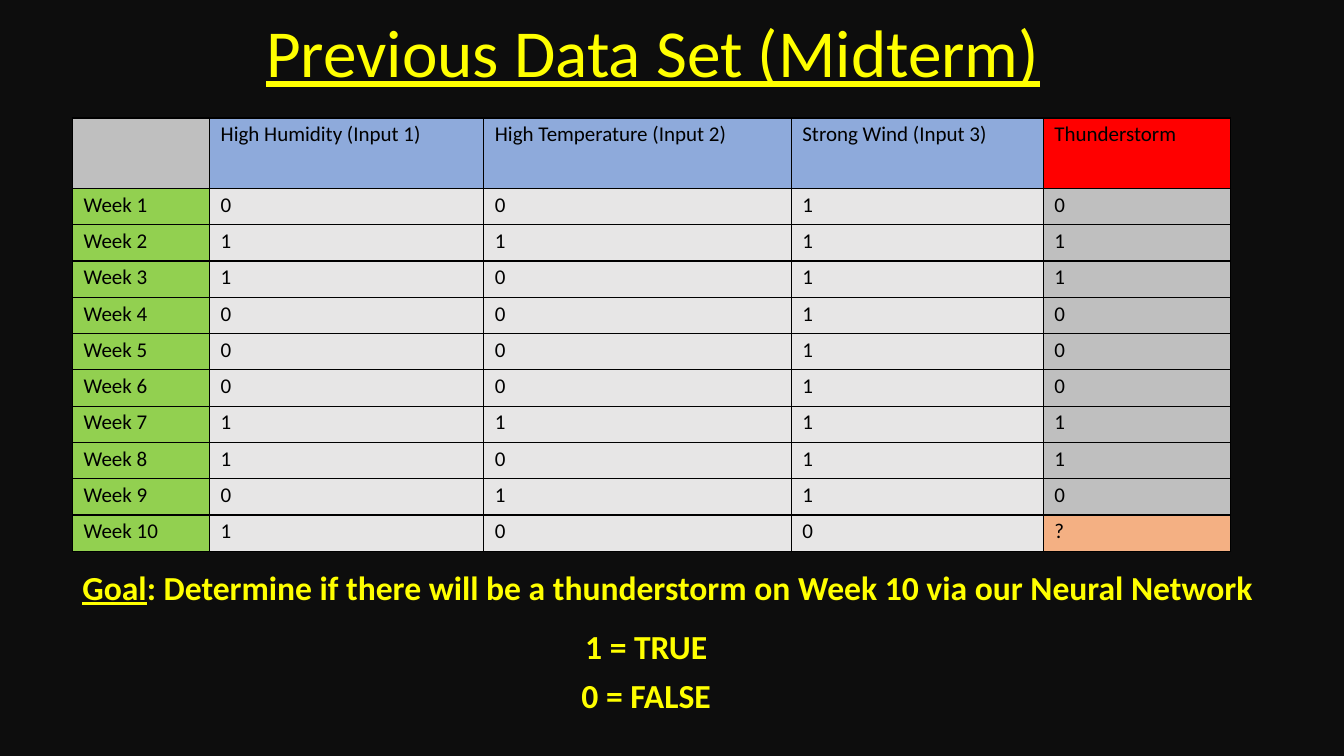
import dataclasses

import lxml.etree
import pptx
import pptx.dml.color
import pptx.enum.text
import pptx.oxml.ns
import pptx.util

SLIDE_WIDTH = pptx.util.Inches(13.33)
SLIDE_HEIGHT = pptx.util.Inches(7.5)
FONT = "Calibri"
BACKGROUND, YELLOW, BLACK = "0D0D0D", "FFFF00", "000000"
BLUE, RED, GREEN = "8EAADB", "FF0000", "92D050"
LIGHT_GRAY, GRAY, ORANGE = "E7E6E6", "BFBFBF", "F4B083"


@dataclasses.dataclass(frozen=True)
class Area:
    """A rectangle in percent of the slide's width and height."""
    left: float
    top: float
    width: float
    height: float


@dataclasses.dataclass(frozen=True)
class Week:
    humidity: str
    temperature: str
    wind: str
    thunderstorm: str


TITLE_AREA = Area(3.98, 1.87, 89.2, 15.07)
TABLE_AREA = Area(5.4, 15.6, 86.25, 57.33)
GOAL_AREA = Area(5.4, 74.27, 89.2, 6.67)
KEY_AREA = Area(40.88, 82.13, 14.4, 13.2)

COLUMN_WIDTHS = [10.2, 20.4, 22.88, 18.75, 13.95]
HEADER_HEIGHT, WEEK_HEIGHT = 9.33, 4.8
HEADERS = ["", "High Humidity (Input 1)", "High Temperature (Input 2)",
           "Strong Wind (Input 3)", "Thunderstorm"]
HEADER_FILLS = [GRAY, BLUE, BLUE, BLUE, RED]
WEEKS = [Week(*digits) for digits in (
    "0010", "1111", "1011", "0010", "0010",
    "0010", "1111", "1011", "0110", "100?")]


def across(percent: float) -> int:
    return round(SLIDE_WIDTH * percent / 100)


def down(percent: float) -> int:
    return round(SLIDE_HEIGHT * percent / 100)


def bounds(area: Area) -> tuple[int, int, int, int]:
    return across(area.left), down(area.top), across(area.width), down(area.height)


def color(hex_code: str) -> pptx.dml.color.RGBColor:
    return pptx.dml.color.RGBColor.from_string(hex_code)


def format_span(span, size: float, hex_code: str, bold: bool = False,
                underline: bool = False) -> None:
    span.font.name = FONT
    span.font.size = pptx.util.Pt(size)
    span.font.bold = bold
    span.font.underline = underline
    span.font.color.rgb = color(hex_code)


def add_title(slide, text: str) -> None:
    title = slide.shapes.title
    title.left, title.top, title.width, title.height = bounds(TITLE_AREA)
    frame = title.text_frame
    frame.text = text
    frame.vertical_anchor = pptx.enum.text.MSO_ANCHOR.TOP
    para = frame.paragraphs[0]
    para.alignment = pptx.enum.text.PP_ALIGN.CENTER
    para.line_spacing = 0.9
    para.space_before = pptx.util.Pt(10)
    format_span(para.runs[0], 48, YELLOW, underline=True)


def add_text_frame(slide, area: Area):
    frame = slide.shapes.add_textbox(*bounds(area)).text_frame
    frame.word_wrap = True
    frame.auto_size = pptx.enum.text.MSO_AUTO_SIZE.SHAPE_TO_FIT_TEXT
    return frame


def add_goal(slide, label: str, sentence: str) -> None:
    para = add_text_frame(slide, GOAL_AREA).paragraphs[0]
    for text, underline in ((label, True), (sentence, False)):
        span = para.add_run()
        span.text = text
        format_span(span, 24, YELLOW, bold=True, underline=underline)


def add_key(slide, meanings: list[str]) -> None:
    frame = add_text_frame(slide, KEY_AREA)
    frame.vertical_anchor = pptx.enum.text.MSO_ANCHOR.MIDDLE
    frame.text = "\n".join(meanings)
    for para in frame.paragraphs:
        para.alignment = pptx.enum.text.PP_ALIGN.CENTER
        para.space_after = pptx.util.Pt(6)
        format_span(para.runs[0], 24, YELLOW, bold=True)


def add_borders(cell) -> None:
    properties = cell._tc.get_or_add_tcPr()
    name = pptx.oxml.ns.qn
    for side in ("a:lnL", "a:lnR", "a:lnT", "a:lnB"):
        line = lxml.etree.SubElement(properties, name(side), w=str(pptx.util.Pt(1)))
        fill = lxml.etree.SubElement(line, name("a:solidFill"))
        lxml.etree.SubElement(fill, name("a:srgbClr"), val=BLACK)


def fill_cell(cell, text: str, fill: str) -> None:
    add_borders(cell)
    cell.fill.solid()
    cell.fill.fore_color.rgb = color(fill)
    cell.margin_left = cell.margin_right = pptx.util.Inches(0.11)
    cell.margin_top, cell.margin_bottom = pptx.util.Inches(0.02), 0
    if text:
        cell.text_frame.text = text
        para = cell.text_frame.paragraphs[0]
        para.line_spacing = 1.07
        format_span(para.runs[0], 15, BLACK)


def add_weather_table(slide) -> None:
    rows = [list(zip(HEADERS, HEADER_FILLS))]
    for number, week in enumerate(WEEKS, start=1):
        result_fill = ORANGE if week.thunderstorm == "?" else GRAY
        fills = [GREEN, LIGHT_GRAY, LIGHT_GRAY, LIGHT_GRAY, result_fill]
        rows.append(list(zip([f"Week {number}", *dataclasses.astuple(week)], fills)))

    table = slide.shapes.add_table(
        len(rows), len(HEADERS), *bounds(TABLE_AREA)).table
    table.first_row = table.horz_banding = False
    for column, width in zip(table.columns, COLUMN_WIDTHS):
        column.width = across(width)
    for index, (row, contents) in enumerate(zip(table.rows, rows)):
        row.height = down(WEEK_HEIGHT if index else HEADER_HEIGHT)
        for cell, (text, fill) in zip(row.cells, contents):
            fill_cell(cell, text, fill)


def main() -> None:
    deck = pptx.Presentation()
    deck.slide_width, deck.slide_height = SLIDE_WIDTH, SLIDE_HEIGHT
    page = deck.slides.add_slide(deck.slide_layouts.get_by_name("Title Only"))
    page.background.fill.solid()
    page.background.fill.fore_color.rgb = color(BACKGROUND)
    add_title(page, "Previous Data Set (Midterm)")
    add_key(page, ["1 = TRUE", "0 = FALSE"])
    add_weather_table(page)
    add_goal(page, "Goal", ": Determine if there will be a thunderstorm "
                           "on Week 10 via our Neural Network")
    deck.save("out.pptx")


if __name__ == "__main__":
    main()
